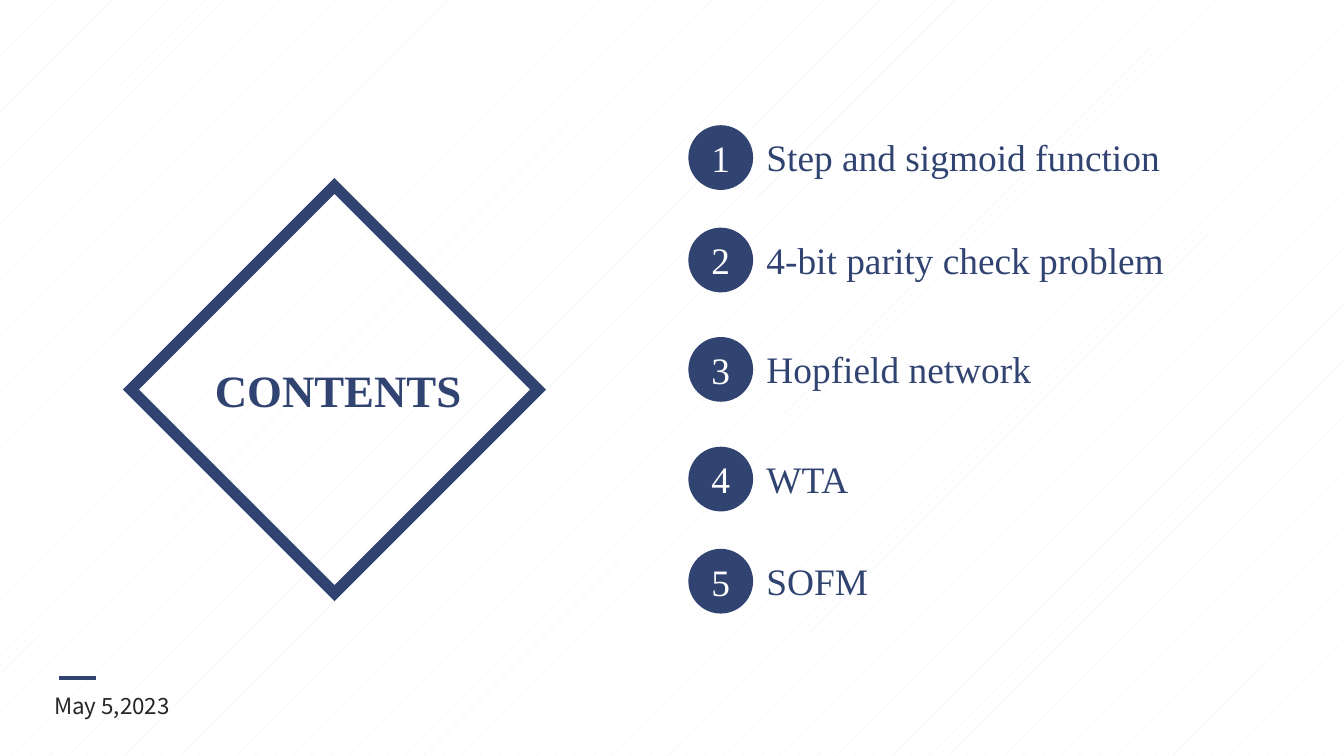
from dataclasses import dataclass

from pptx import Presentation
from pptx.dml.color import RGBColor
from pptx.enum.dml import MSO_PATTERN
from pptx.enum.shapes import MSO_CONNECTOR, MSO_SHAPE as Preset
from pptx.enum.text import MSO_ANCHOR as Anchor, MSO_AUTO_SIZE as AutoSize, PP_ALIGN as Align
from pptx.oxml.ns import qn
from pptx.slide import Slide
from pptx.text.text import TextFrame
from pptx.util import Inches, Length, Pt
from lxml.etree import SubElement

WIDTH = 10
HEIGHT = WIDTH * 9 / 16
NAVY, WHITE, INK, MIST = "304371", "FFFFFF", "262626", "EEF2F5"
SERIF, SANS = "Times New Roman", "Noto Sans CJK SC"

# Agenda columns and sizes, in grid units
BADGE_LEFT, BADGE_SIZE = 51.22, 4.82
LABEL_LEFT, LABEL_HEIGHT, LABEL_DROP = BADGE_LEFT + BADGE_SIZE, 4.4, 0.2


@dataclass(frozen=True)
class Box:
    left: float
    top: float
    width: float
    height: float

    def lengths(self) -> list[Length]:
        return [unit(v) for v in (self.left, self.top, self.width, self.height)]


@dataclass(frozen=True)
class Style:
    color: str
    size: int = 20
    font: str = SERIF
    bold: bool = False
    align: Align = Align.LEFT


@dataclass(frozen=True)
class Topic:
    title: str
    top: float
    width: float


TOPICS = [
    Topic("Step and sigmoid function", 9.32, 31.5),
    Topic("4-bit parity check problem", 16.94, 31.8),
    Topic("Hopfield network", 25.08, 21.9),
    Topic("WTA", 33.24, 8.2),
    Topic("SOFM", 40.84, 9.7),
]


def unit(count: float) -> Length:
    """One grid unit is a hundredth of the slide's width, in both directions."""
    return Inches(count * WIDTH / 100)


def rgb(color: str) -> RGBColor:
    return RGBColor.from_string(color)


def write(frame: TextFrame, text: str, style: Style) -> None:
    paragraph = frame.paragraphs[0]
    paragraph.text = text
    paragraph.alignment = style.align
    font = paragraph.font
    font.name, font.size, font.bold = style.font, Pt(style.size), style.bold
    font.color.rgb = rgb(style.color)


def add_text(slide: Slide, box: Box, text: str, style: Style) -> None:
    frame = slide.shapes.add_textbox(*box.lengths()).text_frame
    frame.word_wrap = False
    frame.auto_size = AutoSize.SHAPE_TO_FIT_TEXT
    write(frame, text, style)


def add_topic(slide: Slide, number: int, topic: Topic) -> None:
    label = Box(LABEL_LEFT, topic.top + LABEL_DROP, topic.width, LABEL_HEIGHT)
    add_text(slide, label, topic.title, Style(NAVY))

    circle = Box(BADGE_LEFT, topic.top, BADGE_SIZE, BADGE_SIZE)
    badge = slide.shapes.add_shape(Preset.OVAL, *circle.lengths())
    badge.shadow.inherit = False
    badge.fill.solid()
    badge.fill.fore_color.rgb = rgb(NAVY)
    badge.line.fill.background()
    frame = badge.text_frame
    frame.margin_left = frame.margin_right = 0
    frame.vertical_anchor = Anchor.MIDDLE
    write(frame, str(number), Style(WHITE, align=Align.CENTER))


def add_diamond(slide: Slide, box: Box) -> None:
    diamond = slide.shapes.add_shape(Preset.DIAMOND, *box.lengths())
    diamond.shadow.inherit = False
    diamond.fill.background()
    diamond.line.color.rgb = rgb(NAVY)
    diamond.line.width = Pt(6)
    # Sharp corners
    outline = diamond.element.spPr.find(qn("a:ln"))
    SubElement(outline, qn("a:miter"), lim="800000")


def add_rule(slide: Slide, left: float, right: float, top: float) -> None:
    rule = slide.shapes.add_connector(
        MSO_CONNECTOR.STRAIGHT, unit(left), unit(top), unit(right), unit(top))
    rule.line.color.rgb = rgb(NAVY)
    rule.line.width = Pt(2.25)
    SubElement(rule.element.spPr, qn("a:effectLst"))


def main() -> None:
    presentation = Presentation()
    presentation.slide_width, presentation.slide_height = Inches(WIDTH), Inches(HEIGHT)
    slide = presentation.slides.add_slide(presentation.slide_layouts[6])

    # Faintly patterned background
    fill = slide.background.fill
    fill.patterned()
    fill.pattern = MSO_PATTERN.PERCENT_5
    fill.fore_color.rgb, fill.back_color.rgb = rgb(MIST), rgb(WHITE)

    # Framed heading
    add_diamond(slide, Box(9.74, 13.84, 30.3, 30.3))
    add_text(slide, Box(14.9, 26.5, 20.5, 5), "CONTENTS",
             Style(NAVY, size=24, bold=True, align=Align.CENTER))

    # Numbered agenda
    for number, topic in enumerate(TOPICS, start=1):
        add_topic(slide, number, topic)

    # Date under a short rule
    add_rule(slide, 4.4, 7.14, 50.44)
    add_text(slide, Box(3.04, 51, 11.3, 3), "May 5,2023", Style(INK, size=12, font=SANS))

    presentation.save("out.pptx")


if __name__ == "__main__":
    main()
